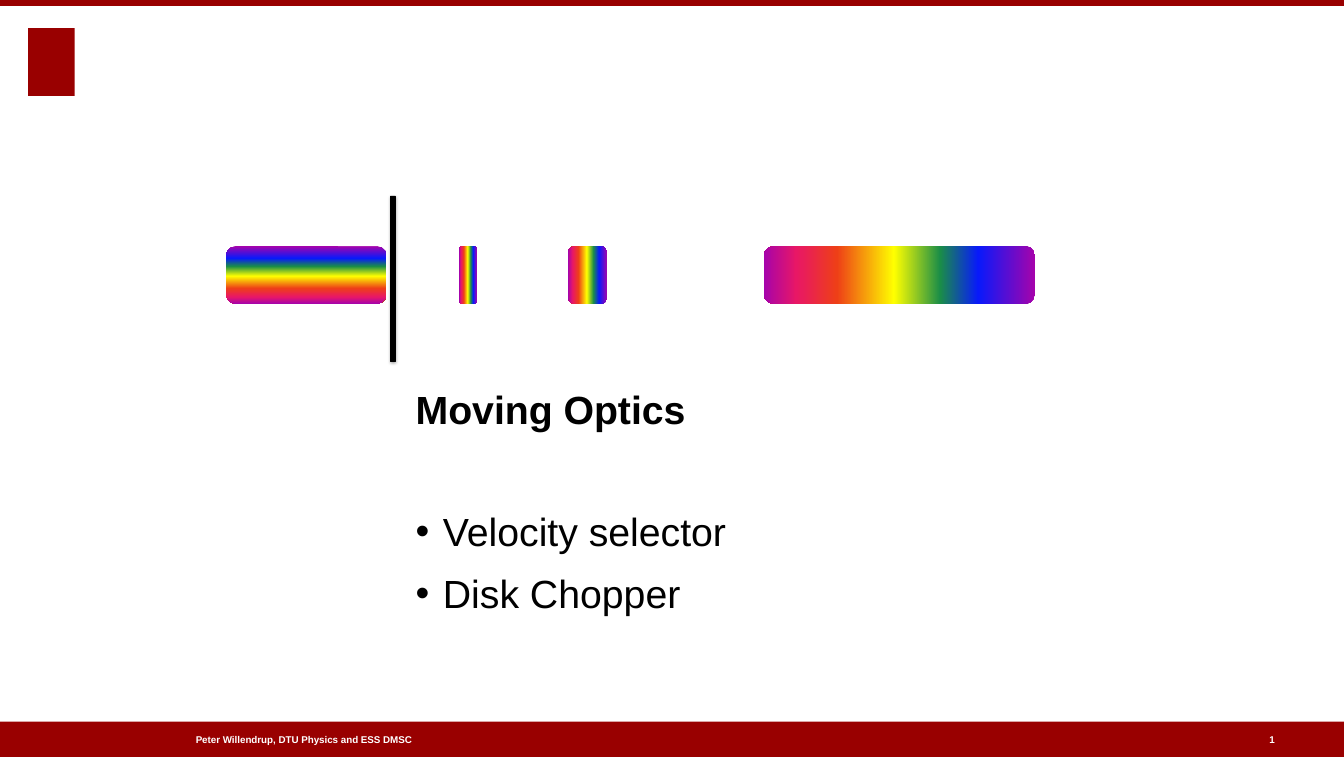
"""Build the Moving Optics slide with its pulse spectra and topic list."""
import lxml.etree
import pptx
import pptx.dml.color
import pptx.enum.shapes
import pptx.enum.text
import pptx.oxml
import pptx.oxml.ns
import pptx.util

Inches = pptx.util.Inches
Pt = pptx.util.Pt
RGBColor = pptx.dml.color.RGBColor
SHAPE = pptx.enum.shapes.MSO_SHAPE
ANCHOR = pptx.enum.text.MSO_ANCHOR
qn = pptx.oxml.ns.qn

DARK_RED = RGBColor(0x99, 0x00, 0x00)
WHITE = RGBColor(0xFF, 0xFF, 0xFF)
BLACK = RGBColor(0x00, 0x00, 0x00)
SPECTRUM = [
    (0, RGBColor(0xA6, 0x03, 0xAB)),
    (21, RGBColor(0x08, 0x19, 0xFB)),
    (35, RGBColor(0x1A, 0x8D, 0x48)),
    (52, RGBColor(0xFF, 0xFF, 0x00)),
    (73, RGBColor(0xEE, 0x3F, 0x17)),
    (88, RGBColor(0xE8, 0x17, 0x66)),
    (100, RGBColor(0xA6, 0x03, 0xAB)),
]
SLIDE_WIDTH, SLIDE_HEIGHT = 13.32, 7.5
SMALL = {"name": "Arial", "size": Pt(7), "bold": True}
HEADING = {"name": "Arial", "size": Pt(28), "bold": True}
TOPIC = {**HEADING, "bold": False}


def apply_format(target, values):
    """Set each named attribute on the target."""
    for name, value in values.items():
        setattr(target, name, value)


def add_block(slide, box, kind=SHAPE.RECTANGLE, color=DARK_RED):
    """Add a flat, borderless shape."""
    block = slide.shapes.add_shape(kind, *map(Inches, box))
    block.shadow.inherit = False
    block.fill.solid()
    block.fill.fore_color.rgb = color
    block.line.fill.background()
    return block


def add_text_frame(slide, box, **settings):
    """Add a text box without margins and return its frame."""
    frame = slide.shapes.add_textbox(*map(Inches, box)).text_frame
    margins = dict.fromkeys(
        ("margin_left", "margin_top", "margin_right", "margin_bottom"), 0)
    apply_format(frame, {**margins, "word_wrap": True, **settings})
    return frame


def write_paragraph(paragraph, text, values, color):
    """Fill a paragraph with formatted text."""
    paragraph.text = text
    apply_format(paragraph.runs[0].font, values)
    paragraph.runs[0].font.color.rgb = color


def add_spectrum(slide, box, angle):
    """Add a rounded bar with the spectrum running at a clockwise angle."""
    spectrum = add_block(slide, box, SHAPE.ROUNDED_RECTANGLE)
    spectrum.fill.gradient()
    spectrum.fill.gradient_angle = 360 - angle
    stops = spectrum._element.spPr.find(".//" + qn("a:gsLst"))
    for stop in list(stops):
        stops.remove(stop)
    for percent, color in SPECTRUM:
        stop = lxml.etree.SubElement(stops, qn("a:gs"), pos=str(percent * 1000))
        lxml.etree.SubElement(stop, qn("a:srgbClr"), val=str(color))


def add_chopper(slide, box):
    """Add the black chopper blade with its soft shadow."""
    chopper = add_block(slide, box, color=BLACK)
    chopper.line.color.rgb = BLACK
    chopper.line.width = Pt(0.25)
    effects = chopper._element.spPr.find(qn("a:effectLst"))
    shadow = lxml.etree.SubElement(
        effects, qn("a:outerShdw"), blurRad=str(Pt(2)), dist=str(Pt(1)),
        dir="5400000", rotWithShape="0")
    shade = lxml.etree.SubElement(shadow, qn("a:srgbClr"), val=str(BLACK))
    lxml.etree.SubElement(shade, qn("a:alpha"), val="35000")


def add_pulses(slide, box):
    """Place the incoming beam, the chopper and the spreading pulses."""
    left, top, _, height = box
    beam_height = 0.57
    beam_top = top + 0.5
    add_spectrum(slide, (left, beam_top, 1.59, beam_height), 90)
    for offset, width in ((2.31, 0.18), (3.39, 0.39), (5.33, 2.69)):
        add_spectrum(slide, (left + offset, beam_top, width, beam_height), 180)
    add_chopper(slide, (left + 1.63, top, 0.05, height))


def add_topics(slide, box):
    """Write the heading and its bulleted topics."""
    frame = add_text_frame(slide, box)
    write_paragraph(frame.paragraphs[0], "Moving Optics", HEADING, BLACK)
    for text, gap in (("Velocity selector", 53.5), ("Disk Chopper", 10.5)):
        topic = frame.add_paragraph()
        topic.space_before = Pt(gap)
        properties = topic._p.get_or_add_pPr()
        properties.set("marL", str(Inches(0.27)))
        properties.set("indent", str(-Inches(0.27)))
        lxml.etree.SubElement(properties, qn("a:buFont"), typeface="Arial")
        lxml.etree.SubElement(properties, qn("a:buChar"), char="•")
        write_paragraph(topic, text, TOPIC, BLACK)


def add_header(slide, box):
    """Draw the top rule and the plain emblem block below it."""
    left, top, width, height = box
    add_block(slide, (left, top, width, height))
    add_block(slide, (left + 0.28, top + 0.28, 0.46, 0.67))


def add_footer(slide, box):
    """Draw the footer band with the author and the page number."""
    left, top, width, height = box
    add_block(slide, box)
    text_top = top + 0.11
    for text, offset, text_width, wrap in (
            ("Peter Willendrup, DTU Physics and ESS DMSC", 1.94, 3.72, True),
            ("1", 12.58, 0.14, False)):
        frame = add_text_frame(
            slide, (left + offset, text_top, text_width, 0.14),
            vertical_anchor=ANCHOR.MIDDLE, word_wrap=wrap)
        write_paragraph(frame.paragraphs[0], text, SMALL, WHITE)


def main():
    """Assemble and save the slide."""
    deck = pptx.Presentation()
    deck.slide_width = Inches(SLIDE_WIDTH)
    deck.slide_height = Inches(SLIDE_HEIGHT)
    slide = deck.slides.add_slide(deck.slide_layouts[6])
    add_header(slide, (0, 0, SLIDE_WIDTH, 0.06))
    add_footer(slide, (0, 7.15, SLIDE_WIDTH, 0.35))
    add_topics(slide, (4.12, 3.82, 4.43, 2.87))
    add_pulses(slide, (2.24, 1.94, 8.02, 1.64))
    deck.save("out.pptx")


if __name__ == "__main__":
    main()
